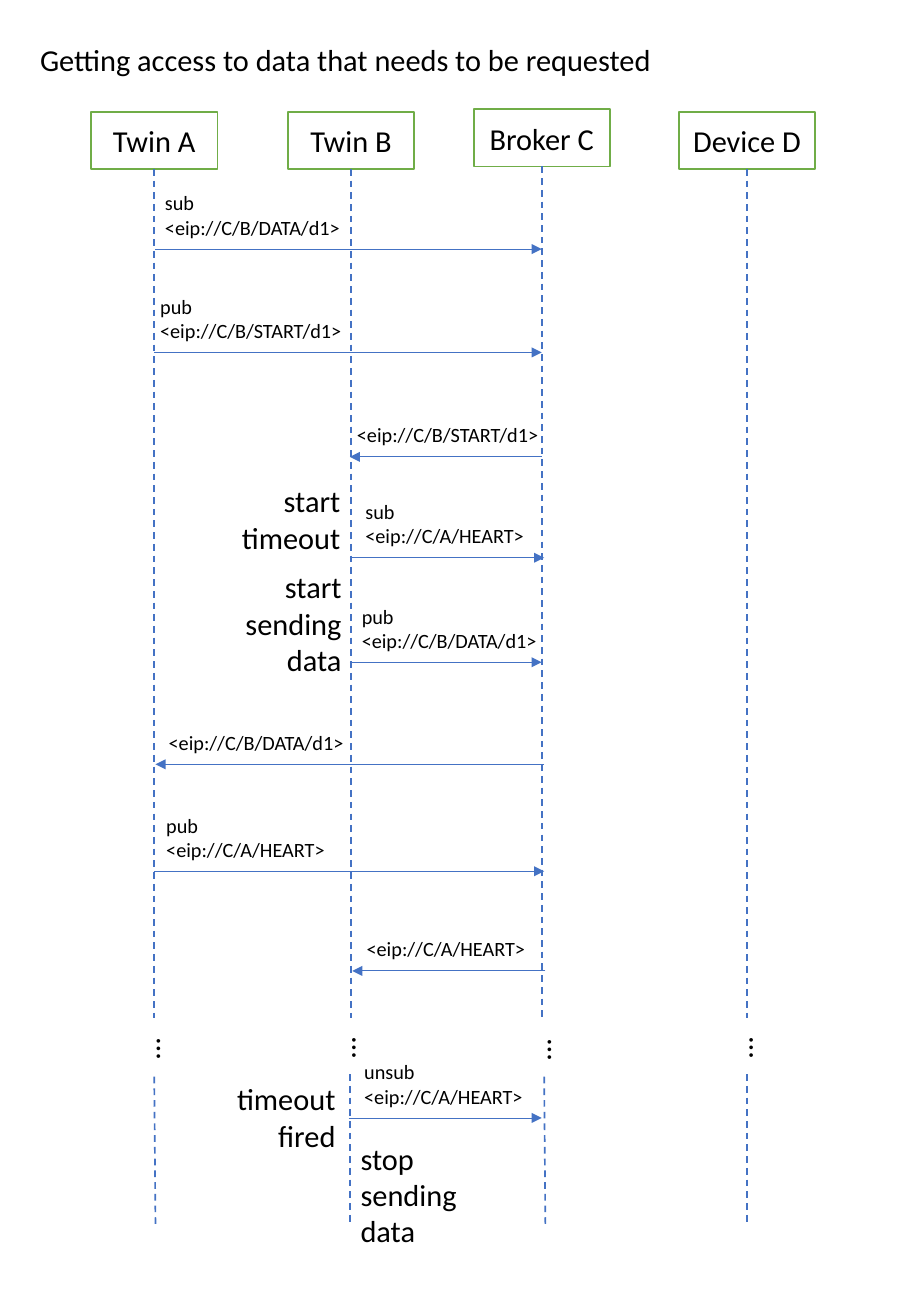
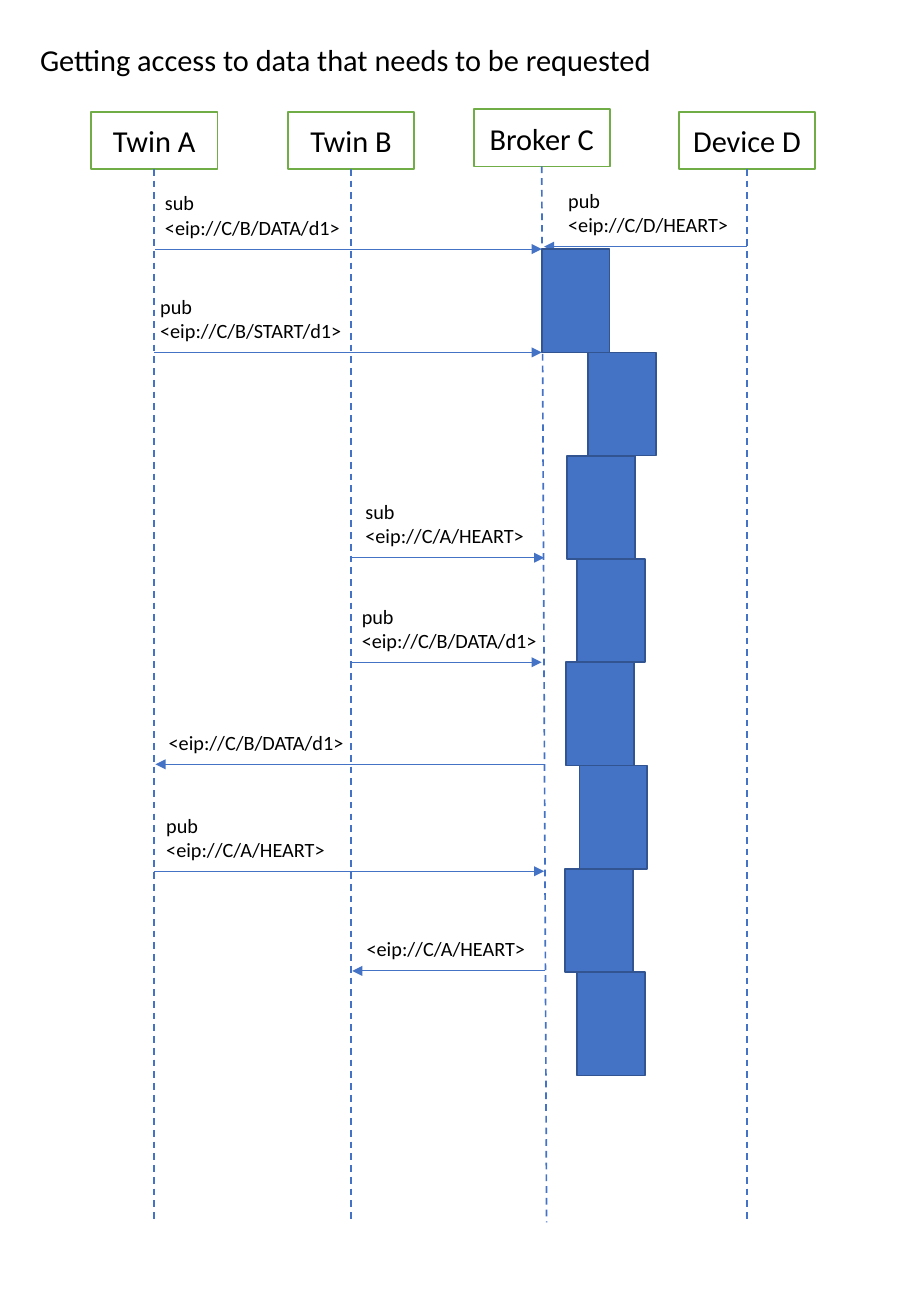
from dataclasses import dataclass

import lxml.etree
import pptx
import pptx.dml.color
import pptx.enum.dml
import pptx.enum.shapes
import pptx.enum.text
import pptx.oxml.ns
import pptx.util

Inches = pptx.util.Inches
RGBColor = pptx.dml.color.RGBColor
Align = pptx.enum.text.PP_ALIGN
Anchor = pptx.enum.text.MSO_ANCHOR
AutoSize = pptx.enum.text.MSO_AUTO_SIZE

BLACK = RGBColor(0x00, 0x00, 0x00)
WHITE = RGBColor(0xFF, 0xFF, 0xFF)
GREEN = RGBColor(0x70, 0xAD, 0x47)
BLUE = RGBColor(0x44, 0x72, 0xC4)
DARK_BLUE = RGBColor(0x32, 0x54, 0x91)

FONT = "Calibri"
TITLE = "Getting access to data that needs to be requested"
HEADER_HEIGHT = 0.47
LABEL_GAP = 0.03
BLOCK_TOP, BLOCK_WIDTH, BLOCK_HEIGHT = 2.05, 0.56, 0.85
BLOCK_LEFTS = (4.46, 4.84, 4.67, 4.75, 4.66, 4.77, 4.65, 4.75)


@dataclass(frozen=True)
class Participant:
    name: str
    left: float
    top: float
    width: float

    @property
    def center(self) -> float:
        return self.left + self.width / 2


@dataclass(frozen=True)
class Message:
    start: float
    end: float
    y: float
    text: str
    label_left: float
    label_width: float = 1.65


@dataclass(frozen=True)
class Note:
    text: str
    left: float
    top: float
    width: float
    height: float
    align: Align = Align.RIGHT


@dataclass(frozen=True)
class Continuation:
    """The dots below a lifeline and the dashed line that resumes it."""
    dots_left: float
    dots_top: float
    line_start: float
    line_end: float
    line_top: float


PARTICIPANTS = (
    Participant("Twin A", 0.75, 0.92, 1.04),
    Participant("Twin B", 2.37, 0.92, 1.04),
    Participant("Broker C", 3.9, 0.9, 1.12),
    Participant("Device D", 5.59, 0.92, 1.12),
)
SHARED_MESSAGES = (
    Message(1.28, 4.46, 2.05, "sub <eip://C/B/DATA/d1>", 1.26, 1.72),
    Message(1.27, 4.46, 2.9, "pub <eip://C/B/START/d1>", 1.22, 1.72),
    Message(2.88, 4.48, 4.59, "sub <eip://C/A/HEART>", 2.91),
    Message(2.88, 4.46, 5.45, "pub <eip://C/B/DATA/d1>", 2.88),
    Message(4.48, 1.28, 6.29, "<eip://C/B/DATA/d1>", 1.29),
    Message(1.27, 4.48, 7.17, "pub <eip://C/A/HEART>", 1.27),
    Message(4.49, 2.9, 7.99, "<eip://C/A/HEART>", 2.92, 1.52),
)
TIMEOUT_MESSAGES = (
    Message(4.46, 2.88, 3.76, "<eip://C/B/START/d1>", 2.84, 1.72),
    Message(2.87, 4.46, 9.2, "unsub <eip://C/A/HEART>", 2.9),
)
DEVICE_MESSAGES = (
    Message(6.15, 4.48, 2.03, "pub <eip://C/D/HEART>", 4.58, 1.57),
)
NOTES = (
    Note("start timeout", 1.76, 3.92, 1.14, 0.71),
    Note("start sending data", 1.8, 4.63, 1.11, 1.01),
    Note("timeout fired", 1.64, 8.84, 1.22, 0.71),
    Note("stop sending data", 2.87, 9.33, 1.11, 1.01, Align.LEFT),
)
CONTINUATIONS = (
    Continuation(1.09, 8.45, 1.27, 1.28, 8.86),
    Continuation(2.7, 8.44, 2.88, 2.88, 8.84),
    Continuation(4.31, 8.46, 4.48, 4.49, 8.86),
    Continuation(5.97, 8.44, 6.15, 6.15, 8.84),
)


def write_text(shape, text: str, *, size: float = 18, align: Align = Align.LEFT,
               anchor: Anchor = Anchor.TOP, wrap: bool = True,
               grow: bool = True, vertical: bool = False) -> None:
    frame = shape.text_frame
    frame.word_wrap = wrap
    frame.auto_size = AutoSize.SHAPE_TO_FIT_TEXT if grow else AutoSize.NONE
    frame.vertical_anchor = anchor
    if vertical:
        frame._txBody.bodyPr.set("vert", "vert")
    para = frame.paragraphs[0]
    para.alignment = align
    span = para.add_run()
    span.text = text
    span.font.name = FONT
    span.font.size = pptx.util.Pt(size)
    span.font.color.rgb = BLACK


def add_text(slide, text: str, left: float, top: float, width: float,
             height: float, **text_format) -> None:
    box = slide.shapes.add_textbox(
        Inches(left), Inches(top), Inches(width), Inches(height))
    write_text(box, text, **text_format)


def add_rectangle(slide, left: float, top: float, width: float, height: float,
                  fill: RGBColor, outline: RGBColor):
    box = slide.shapes.add_shape(
        pptx.enum.shapes.MSO_SHAPE.RECTANGLE,
        Inches(left), Inches(top), Inches(width), Inches(height))
    box.shadow.inherit = False
    box.fill.solid()
    box.fill.fore_color.rgb = fill
    box.line.color.rgb = outline
    box.line.width = pptx.util.Pt(1)
    return box


def add_line(slide, start: tuple[float, float], end: tuple[float, float], *,
             arrow: bool = False):
    """Draw a thin arrow, or else a dashed line."""
    line = slide.shapes.add_connector(
        pptx.enum.shapes.MSO_CONNECTOR.STRAIGHT,
        *(Inches(value) for value in (*start, *end)))
    line.line.color.rgb = BLUE
    line.line.width = pptx.util.Pt(0.5 if arrow else 1)
    qn = pptx.oxml.ns.qn
    if arrow:
        lxml.etree.SubElement(
            line.line._get_or_add_ln(), qn("a:tailEnd"), type="triangle")
    else:
        line.line.dash_style = pptx.enum.dml.MSO_LINE.DASH
    lxml.etree.SubElement(line._element.spPr, qn("a:effectLst"))
    return line


def add_participant(slide, participant: Participant, lifeline_end: float,
                    drift: float = 0) -> None:
    box = add_rectangle(slide, participant.left, participant.top,
                        participant.width, HEADER_HEIGHT, WHITE, GREEN)
    write_text(box, participant.name, align=Align.CENTER,
               anchor=Anchor.MIDDLE, grow=False)
    lifeline = add_line(
        slide, (participant.center, participant.top + HEADER_HEIGHT),
        (participant.center + drift, lifeline_end))
    lifeline.begin_connect(box, 2)


def add_message(slide, message: Message) -> None:
    add_line(slide, (message.start, message.y), (message.end, message.y), arrow=True)
    height = 0.5 if " " in message.text else 0.3
    add_text(slide, message.text, message.label_left,
             message.y - height - LABEL_GAP, message.label_width, height, size=12)


def add_continuation(slide, part: Continuation) -> None:
    add_text(slide, "…", part.dots_left, part.dots_top, 0.5, 0.27,
             wrap=False, vertical=True)
    add_line(slide, (part.line_start, part.line_top),
             (part.line_end, part.line_top + 1.22))


def add_sequence_slide(deck, lifeline_end: float, messages: tuple[Message, ...],
                       broker_drift: float = 0):
    """Add a slide with title, participants, lifelines and messages."""
    slide = deck.slides.add_slide(deck.slide_layouts[5])
    title = slide.shapes.title
    title.left, title.top = Inches(0.23), Inches(0.29)
    title.width, title.height = Inches(5.3), Inches(0.4)
    write_text(title, TITLE, wrap=False)
    for participant in PARTICIPANTS:
        drift = broker_drift if participant.name == "Broker C" else 0
        add_participant(slide, participant, lifeline_end, drift)
    for message in SHARED_MESSAGES + messages:
        add_message(slide, message)
    return slide


def add_timeout_slide(deck) -> None:
    slide = add_sequence_slide(deck, 8.38, TIMEOUT_MESSAGES)
    for note in NOTES:
        add_text(slide, note.text, note.left, note.top, note.width, note.height,
                 align=note.align)
    for part in CONTINUATIONS:
        add_continuation(slide, part)


def add_blocks_slide(deck) -> None:
    slide = add_sequence_slide(deck, 10.06, DEVICE_MESSAGES, broker_drift=0.04)
    for index, left in enumerate(BLOCK_LEFTS):
        add_rectangle(slide, left, BLOCK_TOP + index * BLOCK_HEIGHT,
                      BLOCK_WIDTH, BLOCK_HEIGHT, BLUE, DARK_BLUE)


def main() -> None:
    deck = pptx.Presentation()
    deck.slide_width, deck.slide_height = Inches(7.5), Inches(10.83)
    add_timeout_slide(deck)
    add_blocks_slide(deck)
    deck.save("out.pptx")


if __name__ == "__main__":
    main()
